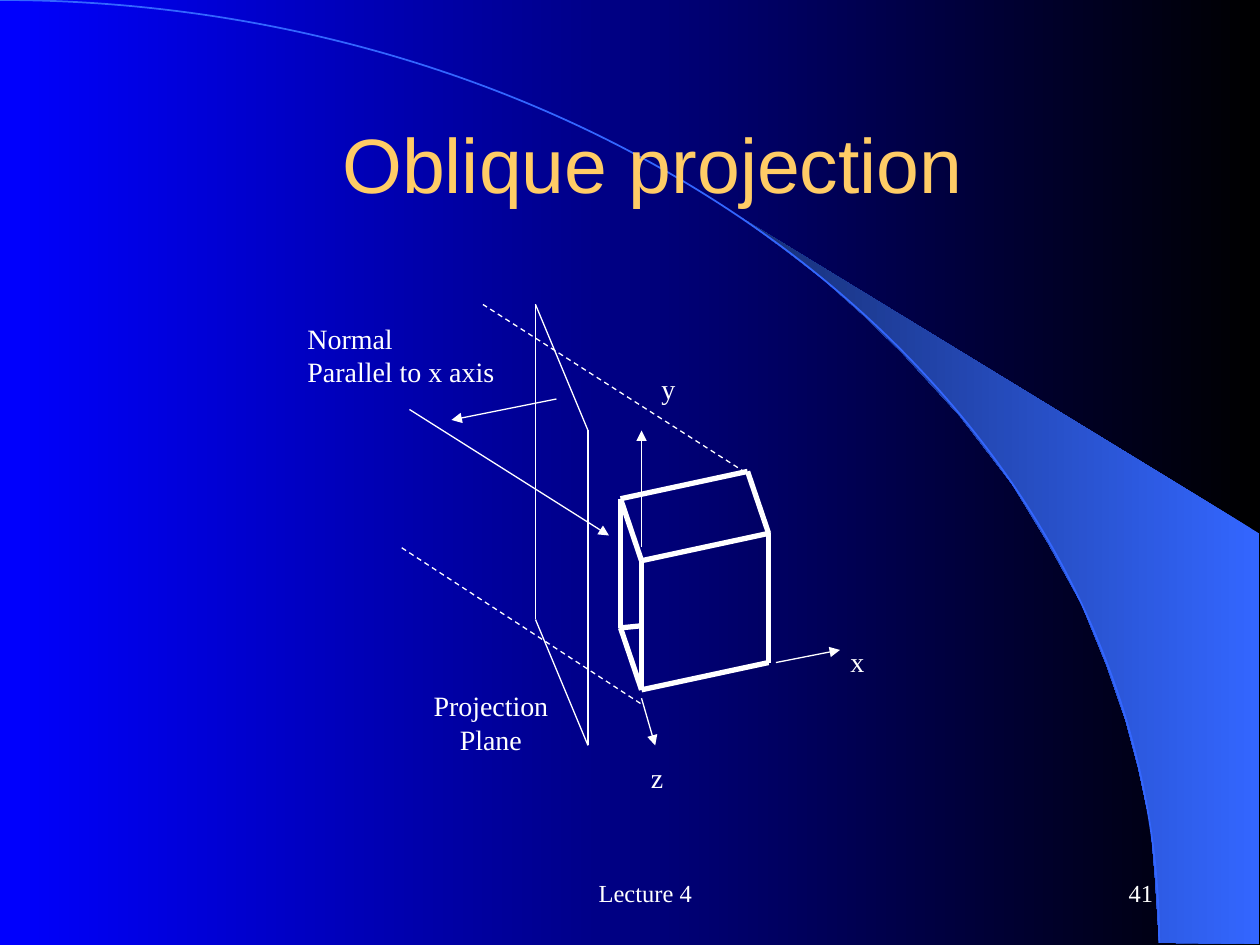
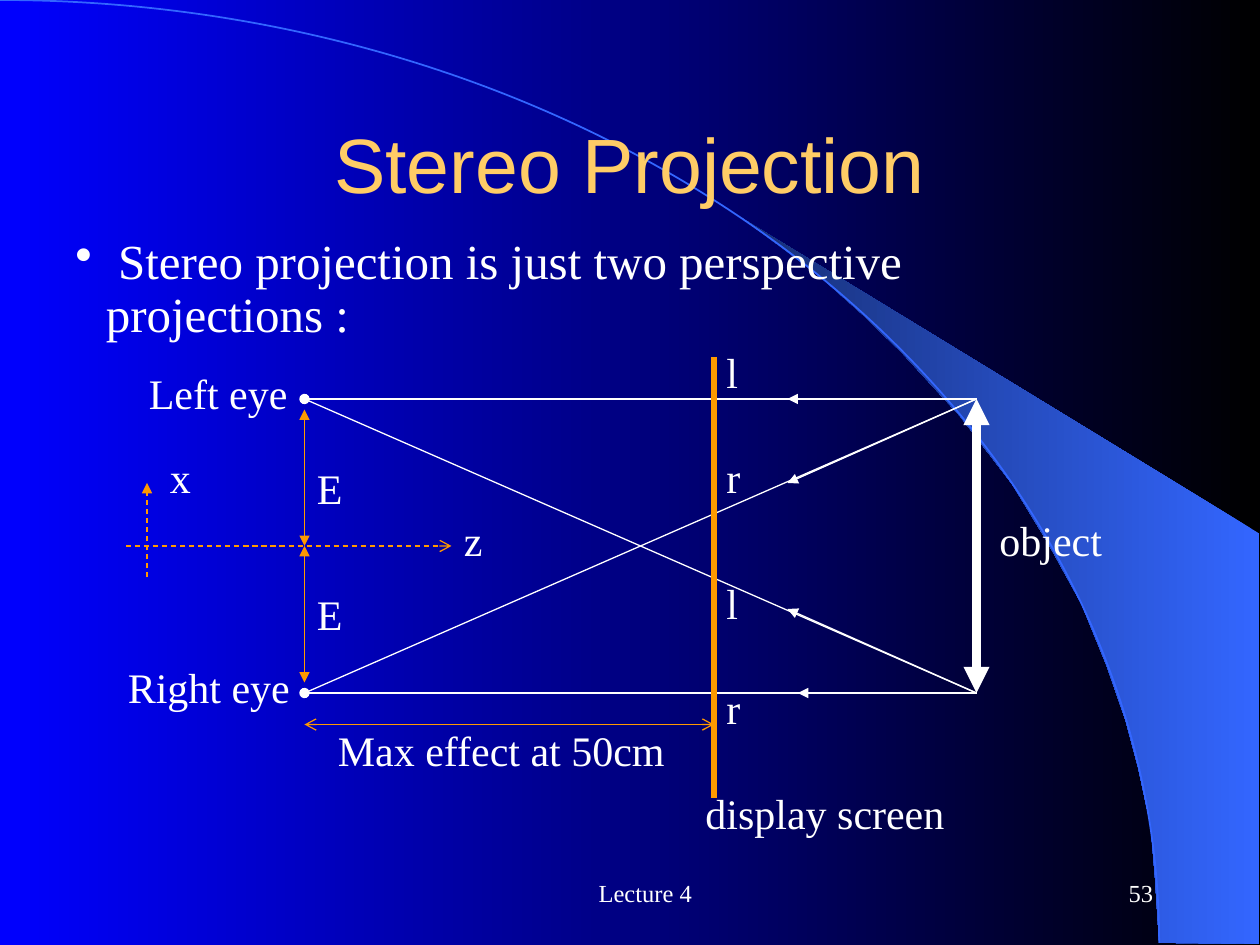
from lxml import etree
from pptx import Presentation
from pptx.dml.color import RGBColor
from pptx.enum.dml import MSO_LINE
from pptx.enum.shapes import MSO_CONNECTOR, MSO_SHAPE
from pptx.enum.text import MSO_ANCHOR, PP_ALIGN
from pptx.oxml.ns import qn
from pptx.util import Pt

PX = 7620
STRAIGHT = MSO_CONNECTOR.STRAIGHT
ARC = MSO_SHAPE.ARC
DASH = MSO_LINE.DASH
TOP, MIDDLE = MSO_ANCHOR.TOP, MSO_ANCHOR.MIDDLE
LEFT, CENTER, RIGHT = PP_ALIGN.LEFT, PP_ALIGN.CENTER, PP_ALIGN.RIGHT
COLORS = {
    "black": "000000",
    "night": "0000FF",
    "band": "3366FF",
    "band_dark": "172F75",
    "title": "FFCC66",
    "text": "FFFFFF",
    "accent": "FF9900",
}
TITLE_FONT, BODY_FONT = "Arial", "Times New Roman"
SLIDE_BOX = (0, 0, 1200, 900)
TITLE_BOX = (90, 80, 1020, 150)
FOOTER_BOX = (410, 820, 700, 60)
WEDGE_BOX = (707, 208, 492, 691)
WEDGE_POINTS = [
    (397, 690), (492, 691), (492, 300), (0, 0), (42, 31), (77, 58),
    (115, 92), (152, 128), (207, 188), (257, 253), (291, 309), (323, 367),
    (347, 426), (365, 478), (377, 523), (389, 579), (393, 627),
]


def rgb(name):
    """Return the named colour."""
    return RGBColor.from_string(COLORS[name])


def inside(box, x, y, width, height):
    """Return a box given relative to an outer box."""
    return box[0] + x, box[1] + y, width, height


def apply_gradient(fill, right, left):
    """Fill with a gradient that runs from right to left."""
    fill.gradient()
    fill.gradient_angle = 180
    for stop, name in zip(fill.gradient_stops, (right, left)):
        stop.color.rgb = rgb(name)


def add_text(slide, box, text, size, font=BODY_FONT, color="text", align=LEFT,
             anchor=TOP, spacing=1.0, margin_left=12, margin_right=12):
    """Add a wrapped text box with one look for all its paragraphs."""
    shape = slide.shapes.add_textbox(*(value * PX for value in box))
    frame = shape.text_frame
    frame.word_wrap = True
    frame.vertical_anchor = anchor
    frame.margin_left, frame.margin_right = margin_left * PX, margin_right * PX
    frame.margin_top = frame.margin_bottom = 6 * PX
    frame.text = text
    for paragraph in frame.paragraphs:
        paragraph.alignment = align
        paragraph.line_spacing = spacing
        for run in paragraph.runs:
            run.font.name = font
            run.font.size = Pt(size)
            run.font.color.rgb = rgb(color)
    return shape


def add_line(slide, box, start, end, color="text", width=0.75,
             head=None, tail=None, dash=False):
    """Add a line between two points of a box, with optional arrowheads."""
    left, top = box[:2]
    connector = slide.shapes.add_connector(
        STRAIGHT, (left + start[0]) * PX, (top + start[1]) * PX,
        (left + end[0]) * PX, (top + end[1]) * PX)
    connector.line.color.rgb = rgb(color)
    connector.line.width = Pt(width)
    if dash:
        connector.line.dash_style = DASH
    properties = connector._element.spPr
    outline = properties.find(qn("a:ln"))
    for tag, kind in (("a:headEnd", head), ("a:tailEnd", tail)):
        if kind:
            etree.SubElement(outline, qn(tag), type=kind)
    etree.SubElement(properties, qn("a:effectLst"))


def add_backdrop(slide, box):
    """Paint the background, the light wedge and the large arc."""
    left, top, width, height = box
    apply_gradient(slide.background.fill, "black", "night")
    builder = slide.shapes.build_freeform(*WEDGE_POINTS[0], scale=PX)
    builder.add_line_segments(WEDGE_POINTS[1:], close=True)
    wedge = builder.convert_to_shape((left + WEDGE_BOX[0]) * PX,
                                     (top + WEDGE_BOX[1]) * PX)
    wedge.shadow.inherit = False
    apply_gradient(wedge.fill, "band", "band_dark")
    wedge.line.fill.background()

    radius_x, radius_y = width - 96, height - 2
    arc = slide.shapes.add_shape(ARC, (left - radius_x) * PX, top * PX,
                                 2 * radius_x * PX, 2 * radius_y * PX)
    arc.shadow.inherit = False
    arc.fill.background()
    arc.line.color.rgb = rgb("band")
    arc.line.width = Pt(1)


def add_footer(slide, box, number):
    """Add the lecture name and the slide number."""
    for x, width, text, align in ((0, 380, "Lecture 4", CENTER),
                                  (450, 250, str(number), RIGHT)):
        add_text(slide, inside(box, x, 0, width, box[3]), text, 14,
                 align=align, anchor=MIDDLE, margin_left=41)


def add_base_slide(presentation, title, number, align=CENTER, margin_left=12):
    """Add a slide with backdrop, title and footer."""
    slide = presentation.slides.add_slide(presentation.slide_layouts[6])
    add_backdrop(slide, SLIDE_BOX)
    add_text(slide, TITLE_BOX, title, 44, TITLE_FONT, "title", align, MIDDLE,
             margin_left=margin_left)
    add_footer(slide, FOOTER_BOX, number)
    return slide


def add_cube(slide, box):
    """Draw the solid with its three axes."""
    front = [(20, 85), (141, 59), (141, 182), (20, 208)]
    back = [(x - 20, y - 59) for x, y in front]
    edges = list(zip(front, front[1:] + front[:1]))
    edges += [(front[corner], back[corner]) for corner in (0, 1, 3)]
    edges += [(back[0], back[1]), (back[0], back[3]), (back[3], (20, 147))]
    for start, end in edges:
        add_line(slide, box, start, end, width=3)
    for start, end in (((148, 182), (209, 170)), ((20, 216), (33, 261)),
                       ((20, 72), (20, -39))):
        add_line(slide, box, start, end, tail="triangle")


def add_oblique_diagram(slide, box):
    """Draw the projection plane, the projectors, the solid and the labels."""
    plane = [(230, 0), (280, 120), (280, 420), (230, 300)]
    for start, end in zip(plane, plane[1:] + plane[:1]):
        add_line(slide, box, start, end)
    for start, end in (((250, 90), (150, 110)), ((110, 100), (300, 220))):
        add_line(slide, box, start, end, tail="triangle")
    for start, end in (((330, 380), (100, 230)), ((430, 160), (180, 0))):
        add_line(slide, box, start, end, dash=True)
    add_cube(slide, inside(box, 311, 159, 141, 208))
    for text, x, y, width, height, align in (
            ("x", 518, 318, 37, 44, LEFT),
            ("z", 328, 428, 37, 44, LEFT),
            ("y", 338, 58, 37, 44, LEFT),
            ("Projection\nPlane", 116, 360, 143, 77, CENTER),
            ("Normal\nParallel to x axis", 1, 10, 212, 77, LEFT)):
        add_text(slide, inside(box, x, y, width, height), text, 16, align=align)


def add_bullet(slide, box, text):
    """Add one bulleted statement with a hanging indent."""
    shape = add_text(slide, box, text, 28, spacing=0.9, margin_right=60)
    properties = shape.text_frame.paragraphs[0]._p.get_or_add_pPr()
    properties.set("marL", str(29 * PX))
    properties.set("indent", str(-29 * PX))
    etree.SubElement(properties, qn("a:buChar"), char="•")


def add_stereo_diagram(slide, box):
    """Draw the eyes, the screen, the object and the rays between them."""
    eye_x, screen_x, object_x = 180, 570, 820
    left_y, axis_y, right_y = 50, 190, 330
    for eye_y, other_y in ((left_y, right_y), (right_y, left_y)):
        add_line(slide, box, (eye_x, eye_y), (object_x, eye_y))
        add_line(slide, box, (eye_x, eye_y), (object_x, other_y), head="oval")
    add_line(slide, box, (object_x, right_y), (object_x, left_y), width=5,
             head="triangle", tail="triangle")
    add_line(slide, box, (screen_x, 10), (screen_x, 430), "accent", 3)
    for start, end in (((670, left_y), (640, left_y)),
                       ((690, right_y), (650, right_y)),
                       ((object_x, left_y), (640, 130)),
                       ((object_x, right_y), (640, 250))):
        add_line(slide, box, start, end, tail="triangle")
    for start, end, head, tail, dash in (
            ((10, axis_y), (320, axis_y), None, "arrow", True),
            ((30, 220), (30, 130), None, "triangle", True),
            ((eye_x, left_y + 10), (eye_x, axis_y), "triangle", "triangle", False),
            ((eye_x, axis_y), (eye_x, right_y - 10), "triangle", "triangle", False),
            ((eye_x, 360), (screen_x, 360), "arrow", "arrow", False)):
        add_line(slide, box, start, end, "accent", head=head, tail=tail, dash=dash)
    for text, x, y, width in (
            ("object", 830, 160, 160), ("Left eye", 20, 20, 170),
            ("Right eye", 0, 300, 190), ("z", 320, 160, 40),
            ("x", 40, 100, 40), ("l", screen_x, 0, 37),
            ("r", screen_x, 100, 37), ("l", screen_x, 220, 37),
            ("r", screen_x, 320, 37), ("E", eye_x, 110, 48),
            ("E", eye_x, 230, 48), ("display screen", 550, 420, 280),
            ("Max effect at 50cm", 200, 360, 360)):
        add_text(slide, inside(box, x, y, width, 55), text, 24, spacing=0.9)


def main():
    """Build both slides and save the presentation."""
    presentation = Presentation()
    presentation.slide_width = SLIDE_BOX[2] * PX
    presentation.slide_height = SLIDE_BOX[3] * PX

    oblique = add_base_slide(presentation, "Oblique projection", 41,
                             LEFT, margin_left=236)
    add_oblique_diagram(oblique, (280, 290, 560, 480))

    stereo = add_base_slide(presentation, "Stereo Projection", 53)
    add_bullet(stereo, (60, 220, 1060, 62),
               " Stereo projection is just two perspective projections :")
    add_stereo_diagram(stereo, (110, 330, 990, 475))
    presentation.save("out.pptx")


if __name__ == "__main__":
    main()
